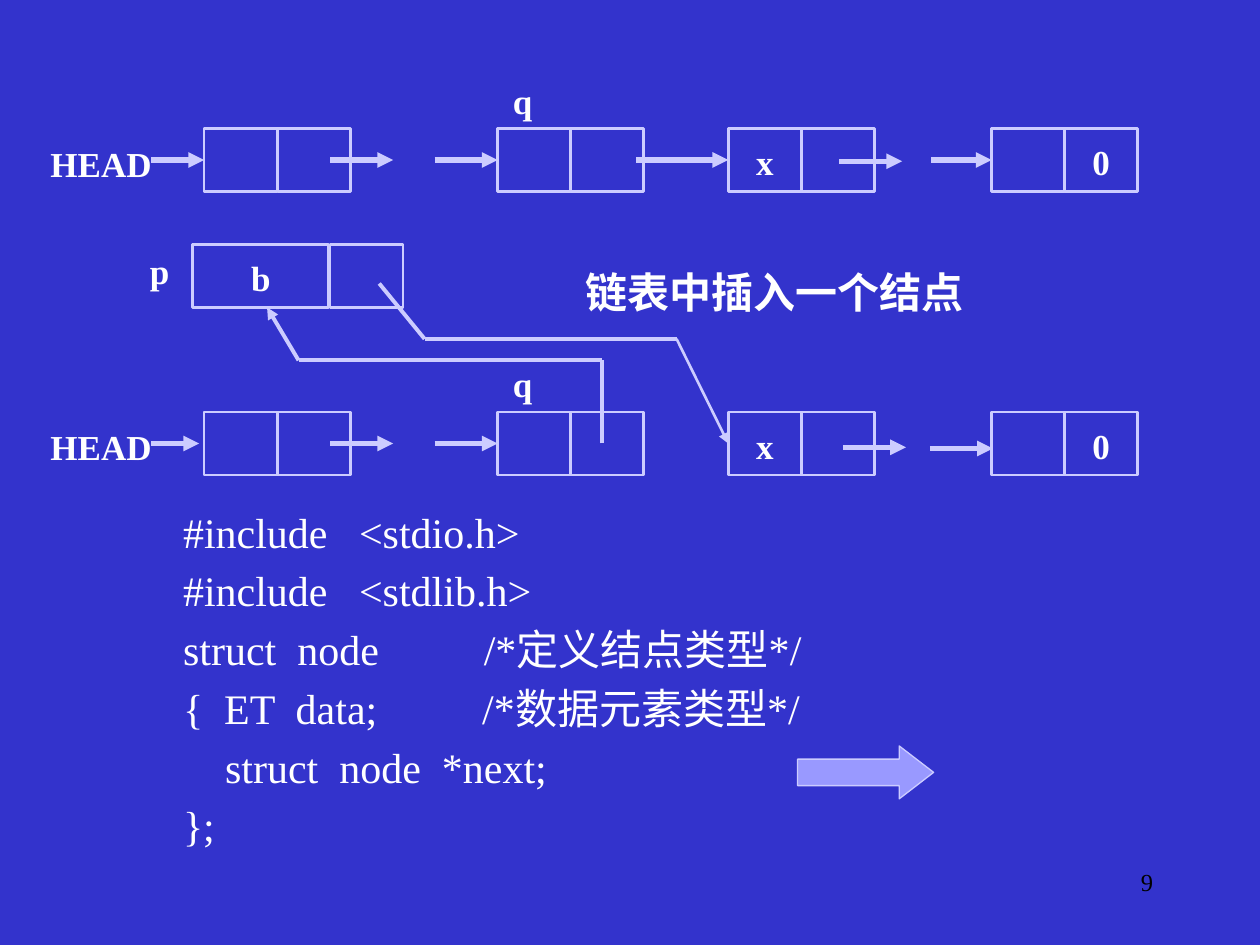
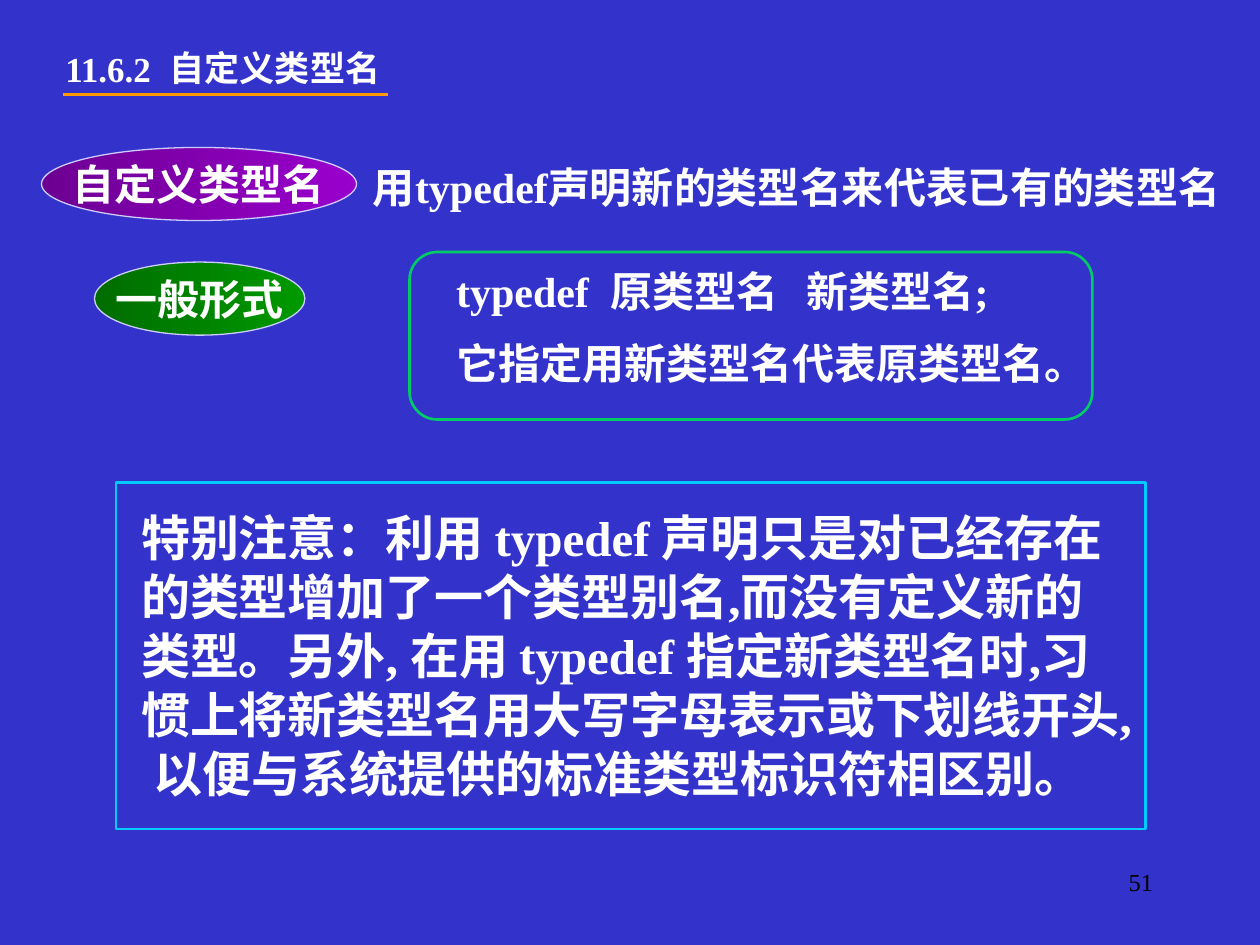
from typing import NamedTuple, Optional

import pptx
import pptx.dml.color
import pptx.enum.lang
import pptx.enum.shapes
import pptx.enum.text
import pptx.oxml
import pptx.oxml.ns
import pptx.util

Inches = pptx.util.Inches
Pt = pptx.util.Pt
SHAPE = pptx.enum.shapes.MSO_SHAPE
ALIGN = pptx.enum.text.PP_ALIGN

FONT = "Times New Roman"
COLORS = {
    "background": "3333CC", "text": "FFFFFF", "number": "000000",
    "outline": "CCCCFF", "next_arrow": "9999FF", "title_rule": "FF9900",
    "purple_dark": "6D0092", "purple": "9900CC",
    "green_dark": "006D00", "green": "009900",
    "syntax_border": "00CC66", "notice_border": "00CCFF",
}


class Box(NamedTuple):
    left: float
    top: float
    width: float
    height: float


class TextStyle(NamedTuple):
    size: float = 20
    bold: bool = True
    color: str = "text"
    align: ALIGN = ALIGN.LEFT
    side_inset: float = 0.04
    top_inset: float = 0.03
    line_spacing: float = 1.0


class Node(NamedTuple):
    left: float
    data: str = ""
    link: str = ""


class Link(NamedTuple):
    """Pointer arrow; drop is measured from the row's middle, target is a node index."""
    start: float
    end: float
    drop: float = 0
    target: Optional[int] = None


class Badge(NamedTuple):
    box: Box
    text: str
    dark: str
    bright: str


LABEL = TextStyle()
HEADING = TextStyle(side_inset=0.1, top_inset=0.05)
CAPTION = TextStyle(size=24, side_inset=0.1, top_inset=0.05)
BODY = TextStyle(size=24)
NOTICE = TextStyle(size=28)
CODE = TextStyle(size=24, bold=False, line_spacing=0.75)
CELL_TEXT = TextStyle(align=ALIGN.CENTER)
BADGE_TEXT = TextStyle(size=24, align=ALIGN.CENTER, top_inset=0)
NUMBER = TextStyle(14, False, "number", ALIGN.RIGHT, 0.1, 0.05)

CELL_WIDTH, CELL_HEIGHT = 0.58, 0.5
NODES = [Node(1.62), Node(3.95), Node(5.78, "x"), Node(7.87, "", "0")]
BEFORE_TOP, AFTER_TOP = 1.02, 3.27
BEFORE_LINKS = [
    Link(1.2, 1.62, target=0), Link(2.62, 3.12), Link(3.45, 3.95, target=1),
    Link(5.05, 5.78, target=2), Link(6.66, 7.16, 0.01), Link(7.39, 7.87, target=3),
]
AFTER_LINKS = [
    Link(1.2, 1.58), Link(2.62, 3.12), Link(3.45, 3.95, target=1),
    Link(6.69, 7.19, 0.03), Link(7.38, 7.88, 0.04),
]
Q_TO_NEW = [(4.78, 3.52), (4.78, 2.86), (2.37, 2.86), (2.12, 2.44)]
NEW_TO_X = [(3.01, 2.25), (3.37, 2.69), (5.37, 2.69)]

CODE_LINES = [
    "    #include   <stdio.h>",
    "    #include   <stdlib.h>",
    "    struct  node          /*定义结点类型*/",
    "    {  ET  data;          /*数据元素类型*/",
    "        struct  node  *next;",
    "    };",
]
BADGES = [
    Badge(Box(0.33, 1.17, 2.5, 0.58), "自定义类型名", "purple_dark", "purple"),
    Badge(Box(0.75, 2.08, 1.67, 0.58), "一般形式", "green_dark", "green"),
]
NOTICE_TEXT = (
    "特别注意：利用 typedef 声明只是对已经存在的类型增加了一个类型别名,"
    "而没有定义新的类型。另外, 在用 typedef 指定新类型名时,"
    "习惯上将新类型名用大写字母表示或下划线开头, "
    "以便与系统提供的标准类型标识符相区别。"
)


def rgb(name: str) -> pptx.dml.color.RGBColor:
    return pptx.dml.color.RGBColor.from_string(COLORS[name])


def inches(values) -> list:
    return [Inches(value) for value in values]


def write(frame, lines: list[str], style: TextStyle) -> None:
    frame.margin_left = frame.margin_right = Inches(style.side_inset)
    frame.margin_top = Inches(style.top_inset)
    frame.margin_bottom = 0
    for index, line in enumerate(lines):
        paragraph = frame.add_paragraph() if index else frame.paragraphs[0]
        paragraph.alignment = style.align
        paragraph.line_spacing = style.line_spacing
        if index:
            paragraph.space_before = Pt(style.size / 2)
        run = paragraph.add_run()
        run.text = line
        run.font.name = FONT
        run.font.size = Pt(style.size)
        run.font.bold = style.bold
        run.font.color.rgb = rgb(style.color)
        run.font.language_id = pptx.enum.lang.MSO_LANGUAGE_ID.SIMPLIFIED_CHINESE


def add_text(slide, box: Box, lines: list[str], style: TextStyle) -> None:
    frame = slide.shapes.add_textbox(*inches(box)).text_frame
    frame.word_wrap = True
    write(frame, lines, style)


def add_outline(slide, kind: SHAPE, box: Box, line: str = "outline", weight: float = 1.5):
    """Add an unfilled shape with a coloured border."""
    shape = slide.shapes.add_shape(kind, *inches(box))
    shape.shadow.inherit = False
    shape.fill.background()
    shape.line.color.rgb = rgb(line)
    shape.line.width = Pt(weight)
    return shape


def add_line(slide, start: tuple, end: tuple, weight: float,
             arrow: bool = False, color: str = "outline"):
    line = slide.shapes.add_connector(
        pptx.enum.shapes.MSO_CONNECTOR.STRAIGHT, *inches(start + end))
    line.line.color.rgb = rgb(color)
    line.line.width = Pt(weight)
    qn = pptx.oxml.ns.qn
    properties = line.line._get_or_add_ln()
    if arrow:
        tail = pptx.oxml.parse_xml(
            f'<a:tailEnd {pptx.oxml.ns.nsdecls("a")} type="triangle"/>')
        properties.append(tail)
    properties.addnext(properties.makeelement(qn("a:effectLst"), {}))
    return line


def add_path(slide, points: list[tuple], arrow: bool = False) -> None:
    """Draw straight segments through the points, with the arrowhead on the last."""
    for index in range(1, len(points)):
        last = index == len(points) - 1
        add_line(slide, points[index - 1], points[index], 2.25, arrow and last)


def add_cell(slide, left: float, top: float, text: str = "", width: float = CELL_WIDTH):
    cell = add_outline(slide, SHAPE.RECTANGLE, Box(left, top, width, CELL_HEIGHT))
    if text:
        cell.text_frame.vertical_anchor = pptx.enum.text.MSO_ANCHOR.MIDDLE
        write(cell.text_frame, [text], CELL_TEXT)
    return cell


def add_linked_list(slide, top: float, links: list[Link]) -> list:
    """Draw one row of nodes with its pointers; return the nodes' data cells."""
    add_text(slide, Box(0.36, top + 0.08, 0.95, 0.33), ["HEAD"], LABEL)
    add_text(slide, Box(4.03, top - 0.42, 0.33, 0.33), ["q"], LABEL)
    data_cells = []
    for node in NODES:
        data_cells.append(add_cell(slide, node.left, top, node.data))
        add_cell(slide, node.left + CELL_WIDTH, top, node.link)
    middle = top + CELL_HEIGHT / 2
    for link in links:
        height = middle + link.drop
        pointer = add_line(slide, (link.start, height), (link.end, height), 3, True)
        if link.target is not None:
            pointer.end_connect(data_cells[link.target], 1)
    return data_cells


def add_badge(slide, badge: Badge) -> None:
    ellipse = add_outline(slide, SHAPE.OVAL, badge.box, weight=0.75)
    ellipse.fill.gradient()
    ellipse.fill.gradient_angle = 0
    for stop, color in zip(ellipse.fill.gradient_stops, (badge.dark, badge.bright)):
        stop.color.rgb = rgb(color)
    ellipse.text_frame.word_wrap = False
    ellipse.text_frame.vertical_anchor = pptx.enum.text.MSO_ANCHOR.MIDDLE
    write(ellipse.text_frame, [badge.text], BADGE_TEXT)


def new_slide(deck, number: int):
    slide = deck.slides.add_slide(deck.slide_layouts[6])
    slide.background.fill.solid()
    slide.background.fill.fore_color.rgb = rgb("background")
    add_text(slide, Box(7.17, 6.83, 2.08, 0.5), [str(number)], NUMBER)
    return slide


def build_insertion(deck) -> None:
    slide = new_slide(deck, 9)
    add_text(slide, Box(1.08, 4.08, 5.75, 2.83), CODE_LINES, CODE)
    next_arrow = add_outline(slide, SHAPE.RIGHT_ARROW, Box(6.33, 5.92, 1.08, 0.42),
                             weight=0.75)
    next_arrow.adjustments[1] = 0.65
    next_arrow.fill.solid()
    next_arrow.fill.fore_color.rgb = rgb("next_arrow")

    add_linked_list(slide, BEFORE_TOP, BEFORE_LINKS)
    add_text(slide, Box(4.55, 2.07, 3.25, 0.5), ["链表中插入一个结点"], CAPTION)
    after_cells = add_linked_list(slide, AFTER_TOP, AFTER_LINKS)

    add_text(slide, Box(1.15, 1.95, 0.33, 0.33), ["p"], LABEL)
    add_cell(slide, 1.53, 1.94, "b", 1.08)
    add_cell(slide, 2.62, 1.94)
    add_path(slide, Q_TO_NEW, arrow=True)
    add_path(slide, NEW_TO_X)
    to_x = add_line(slide, NEW_TO_X[-1], (5.78, 3.52), 1.5, True)
    to_x.end_connect(after_cells[2], 1)


def build_typedef(deck) -> None:
    slide = new_slide(deck, 51)
    add_text(slide, Box(0.42, 0.33, 1.08, 0.43), ["11.6.2"], HEADING)
    add_text(slide, Box(1.25, 0.32, 2, 0.43), ["自定义类型名"], HEADING)
    add_line(slide, (0.5, 0.75), (3.08, 0.75), 2.25, color="title_rule")
    for badge in BADGES:
        add_badge(slide, badge)
    add_text(slide, Box(2.92, 1.25, 7.08, 0.4),
             ["用typedef声明新的类型名来代表已有的类型名"], BODY)
    add_outline(slide, SHAPE.ROUNDED_RECTANGLE, Box(3.25, 2, 5.42, 1.33), "syntax_border")
    add_text(slide, Box(3.58, 2.08, 4.83, 1),
             ["typedef  原类型名   新类型名;", "它指定用新类型名代表原类型名。"], BODY)
    add_outline(slide, SHAPE.RECTANGLE, Box(0.92, 3.83, 8.17, 2.75), "notice_border")
    add_text(slide, Box(1.08, 4, 7.92, 2.34), [NOTICE_TEXT], NOTICE)


def main() -> None:
    deck = pptx.Presentation()
    deck.slide_width, deck.slide_height = Inches(10), Inches(7.5)
    build_insertion(deck)
    build_typedef(deck)
    deck.save("out.pptx")


if __name__ == "__main__":
    main()
